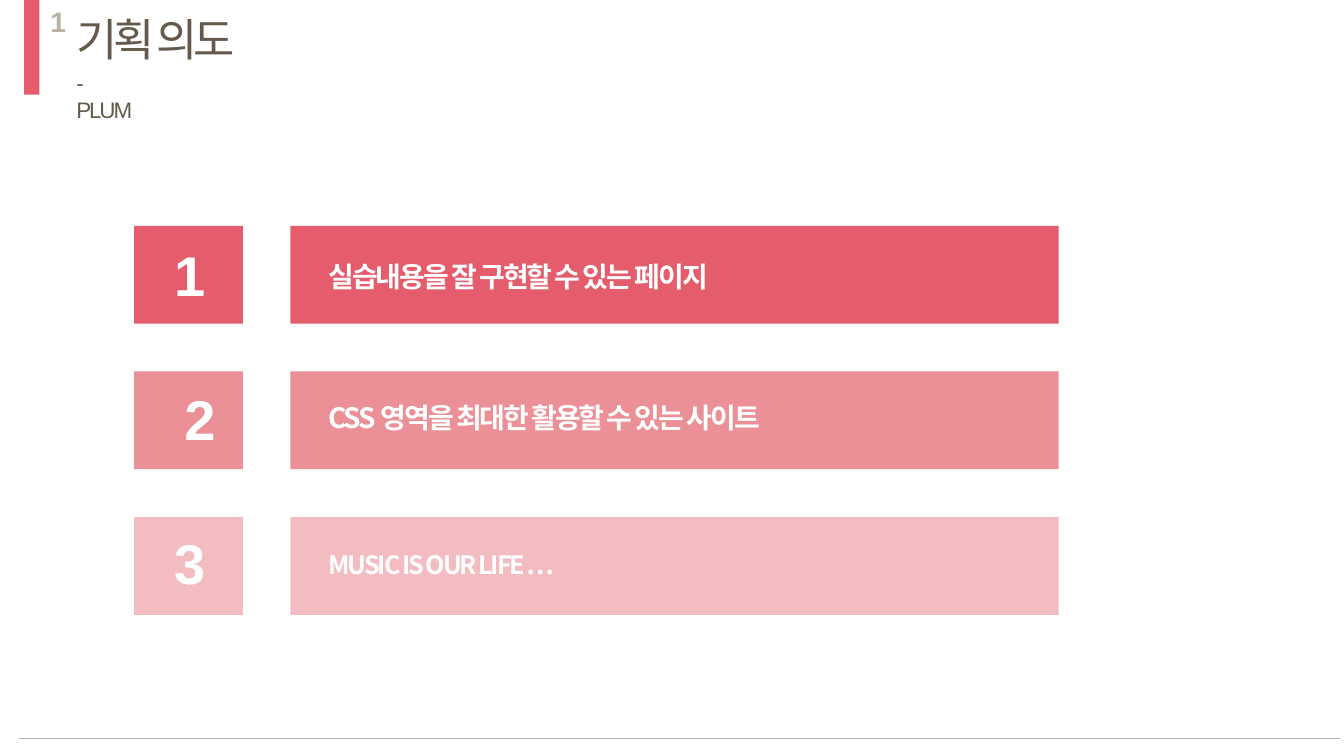
import pptx
import pptx.util
import pptx.dml.color
import pptx.enum.shapes
import pptx.enum.text
import pptx.oxml.ns
from dataclasses import dataclass
from lxml import etree


@dataclass(frozen=True)
class Theme:
    latin: str = "Arial"
    korean: str = "Noto Sans CJK KR"
    rose: str = "E55C6C"
    brown: str = "64594B"
    sand: str = "BAB0A4"
    white: str = "FFFFFF"
    title: int = 32
    sub: int = 16
    mark: int = 20
    digit: int = 40


T = Theme()
WIDE, HIGH = 13.33, 7.5

# number, its left / drop / width, label, its size / drop / width, colour
ROWS = [
    ("1", 1.63, 0.1, 0.44, "실습내용을 잘 구현할 수 있는 페이지", 20, 0.29, 5.43, T.rose),
    ("2", 1.73, 0.08, 0.29, "CSS 영역을 최대한 활용할 수 있는 사이트", 20, 0.24, 5.79, "EB9096"),
    ("3", 1.63, 0.06, 0.44, "MUSIC IS OUR LIFE …", 18, 0.27, 3.38, "F3BCC0"),
]
TOP, PITCH, TALL = 2.24, 1.445, 0.97
COLS = [(1.33, 1.08), (2.88, 7.62)]
LABEL = 3.16

deck = pptx.Presentation()
deck.slide_width = pptx.util.Inches(WIDE)
deck.slide_height = pptx.util.Inches(HIGH)
slide = deck.slides.add_slide(deck.slide_layouts[6])


def inches(*nums):
    return [pptx.util.Inches(n) for n in nums]


def rgb(code):
    return pptx.dml.color.RGBColor.from_string(code)


def block(x, y, w, h, color):
    shape = slide.shapes.add_shape(
        pptx.enum.shapes.MSO_SHAPE.RECTANGLE, *inches(x, y, w, h))
    shape.shadow.inherit = False
    shape.fill.solid()
    shape.fill.fore_color.rgb = rgb(color)
    shape.line.fill.background()


def write(words, x, y, w, h, size, color, face=T.latin, bold=False,
          track=0, center=False, wrap=True):
    """Add one line of text; track is letter spacing in points."""
    frame = slide.shapes.add_textbox(*inches(x, y, w, h)).text_frame
    frame.word_wrap = wrap
    frame.text = words
    para = frame.paragraphs[0]
    if center:
        para.alignment = pptx.enum.text.PP_ALIGN.CENTER
    run = para.runs[0]
    font = run.font
    font.name, font.size, font.bold = face, pptx.util.Pt(size), bold
    font.color.rgb = rgb(color)
    props = run._r.get_or_add_rPr()
    if track:
        props.set("spc", str(round(track * 100)))
    east = etree.SubElement(props, pptx.oxml.ns.qn("a:ea"))
    east.set("typeface", face)


def rule(x1, x2, y, color):
    line = slide.shapes.add_connector(
        pptx.enum.shapes.MSO_CONNECTOR.STRAIGHT, *inches(x1, y, x2, y))
    line.line.color.rgb = rgb(color)
    line.line.width = pptx.util.Pt(0.5)
    etree.SubElement(line._element.spPr, pptx.oxml.ns.qn("a:effectLst"))


block(0.24, 0, 0.15, 0.94, T.rose)
write("1", 0.4, 0, 0.51, 0.44, T.mark, T.sand, bold=True)
write("기획 의도", 0.66, 0.07, 1.94, 0.64, T.title, T.brown, T.korean,
      track=-3, wrap=False)
write("- PLUM", 0.66, 0.64, 0.8, 0.37, T.sub, T.brown, track=-1.5)

for i, (num, left, drop, width, label, size, fall, span, color) in enumerate(ROWS):
    y = TOP + i * PITCH
    for x, w in COLS:
        block(x, y, w, TALL, color)
    write(num, left, y + drop, width, 0.77, T.digit, T.white, bold=True,
          center=True)
    write(label, LABEL, y + fall, span, size * 0.022, size, T.white, T.korean,
          bold=True, track=-1.5)

rule(0.19, 13.29, 7.33, T.sand)

deck.save("out.pptx")
